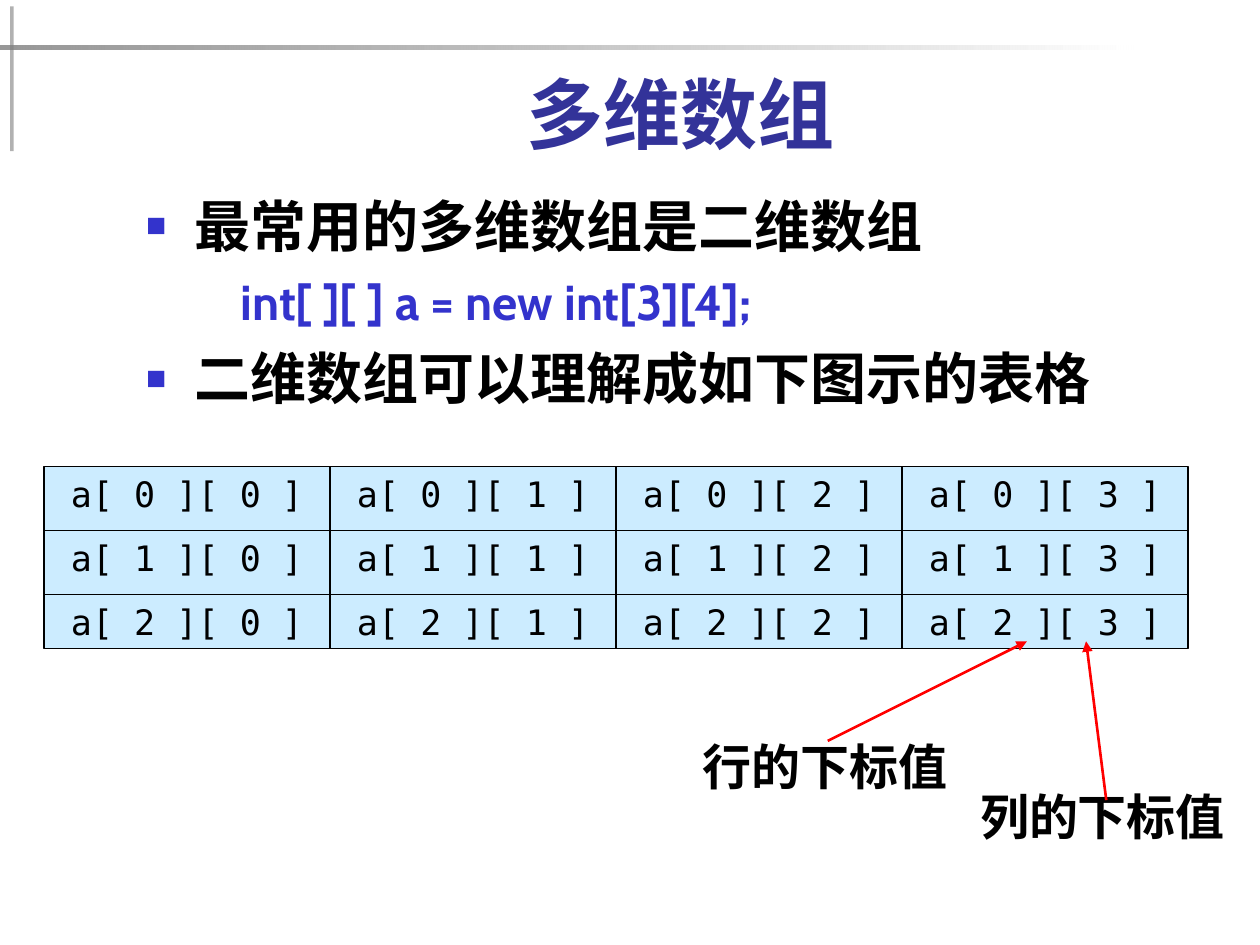
"""Build a slide that shows a two-dimensional array as a grid."""
from dataclasses import dataclass

from lxml import etree
from pptx import Presentation
from pptx.dml.color import RGBColor
from pptx.enum import shapes, text
from pptx.oxml import ns
from pptx.util import Inches, Pt


@dataclass(frozen=True)
class Theme:
    title: RGBColor = RGBColor(0x33, 0x33, 0x99)
    accent: RGBColor = RGBColor(0x33, 0x33, 0xCC)
    ink: RGBColor = RGBColor(0, 0, 0)
    cell: RGBColor = RGBColor(0xCC, 0xEC, 0xFF)
    arrow: RGBColor = RGBColor(0xFF, 0, 0)
    dark: RGBColor = RGBColor(0x1C, 0x1C, 0x1C)
    gray: RGBColor = RGBColor(0x80, 0x80, 0x80)
    white: RGBColor = RGBColor(0xFF, 0xFF, 0xFF)
    head: int = 44
    item: int = 32
    code: int = 28
    mono: int = 20


def write(par, words, font, size, color, bold=True):
    """Add one formatted run to a paragraph."""
    run = par.add_run()
    run.text = words
    run.font.name, run.font.size, run.font.bold = font, Pt(size), bold
    run.font.color.rgb = color


def link(owner, start, end, color, width):
    """Add a straight line without a shadow and return its line properties."""
    line = owner.add_connector(
        shapes.MSO_CONNECTOR.STRAIGHT, *map(Inches, start + end))
    line.line.color.rgb = color
    line.line.width = Pt(width)
    etree.SubElement(line._element.spPr, ns.qn("a:effectLst"))
    return line.line._get_or_add_ln()


theme = Theme()
deck = Presentation()
deck.slide_width, deck.slide_height = Inches(10), Inches(7.5)
slide = deck.slides.add_slide(deck.slide_layouts[1])
items = slide.shapes

bars = []
for box in [(0.08, 0.05, 0.03, 1.15), (0, 0.36, 9, 0.03)]:
    bar = items.add_shape(shapes.MSO_SHAPE.RECTANGLE, *map(Inches, box))
    bar.shadow.inherit = False
    bar.line.fill.background()
    bars.append(bar)
bars[0].fill.solid()
bars[0].fill.fore_color.rgb = theme.dark
bars[1].fill.gradient()
bars[1].fill.gradient_angle = 0
for stop, color in zip(bars[1].fill.gradient_stops, (theme.gray, theme.white)):
    stop.color.rgb = color
for bar, alpha in zip(bars, ("34000", "81000")):
    tint = next(bar._element.spPr.iter(ns.qn("a:srgbClr")))
    etree.SubElement(tint, ns.qn("a:alpha"), val=alpha)

title, body = items.title, slide.placeholders[1]
for holder, box, anchor in [
    (title, (1.14, 0.52, 8.52, 0.79), text.MSO_ANCHOR.BOTTOM),
    (body, (1.06, 1.47, 8.73, 2.6), text.MSO_ANCHOR.TOP),
]:
    holder.left, holder.top, holder.width, holder.height = map(Inches, box)
    holder.text_frame.vertical_anchor = anchor
    holder.text_frame.auto_size = text.MSO_AUTO_SIZE.NONE
    holder.text_frame.word_wrap = True
par = title.text_frame.paragraphs[0]
par.alignment = text.PP_ALIGN.CENTER
write(par, "多维数组", "Cabin", theme.head, theme.title)

points = [
    ("最常用的多维数组是二维数组", 0),
    ("int[ ][ ] a = new int[3][4];", 1),
    ("二维数组可以理解成如下图示的表格", 0),
]
for num, (words, level) in enumerate(points):
    frame = body.text_frame
    par = frame.add_paragraph() if num else frame.paragraphs[0]
    par.level = level
    par.space_before = Pt((8 - level) if num else 0)
    props = par._p.get_or_add_pPr()
    props.set("marL", str(Inches(0.75 if level else 0.38)))
    props.set("indent", str(Inches(0 if level else -0.38)))
    if level:
        etree.SubElement(props, ns.qn("a:buNone"))
        write(par, words, "Cabin", theme.code, theme.accent)
    else:
        paint = etree.SubElement(props, ns.qn("a:buClr"))
        etree.SubElement(paint, ns.qn("a:srgbClr"), val=str(theme.accent))
        etree.SubElement(props, ns.qn("a:buSzPct"), val="60000")
        etree.SubElement(props, ns.qn("a:buFont"), typeface="Arial")
        etree.SubElement(props, ns.qn("a:buChar"), char="■")
        write(par, words, "Cabin", theme.item, theme.ink)

left, top, wide, high = 0.35, 3.7, 2.27, 1.45
for col in range(4):
    group = items.add_group_shape().shapes
    edge = left + col * wide
    cell = group.add_shape(
        shapes.MSO_SHAPE.RECTANGLE, *map(Inches, (edge, top, wide, high)))
    cell.shadow.inherit = False
    cell.fill.solid()
    cell.fill.fore_color.rgb = theme.cell
    cell.line.color.rgb = theme.ink
    cell.line.width = Pt(0.75)
    frame = cell.text_frame
    frame.vertical_anchor = text.MSO_ANCHOR.TOP
    for row in range(3):
        par = frame.add_paragraph() if row else frame.paragraphs[0]
        par.alignment = text.PP_ALIGN.CENTER
        par.space_before = Pt(12.5 if row else 0)
        write(par, f"a[ {row} ][ {col} ]", "DejaVu Sans Mono",
              theme.mono, theme.ink, False)
    for rule in (4.21, 4.72):
        link(group, (edge, rule), (edge + wide, rule), theme.ink, 0.75)

notes = [
    ("行的下标值", (5.48, 5.8), (6.57, 5.88), (8.15, 5.09)),
    ("列的下标值", (7.68, 6.19), (8.78, 6.35), (8.62, 5.09)),
]
for words, spot, start, end in notes:
    label = items.add_textbox(*map(Inches, spot + (2.14, 0.57)))
    label.text_frame.word_wrap = False
    par = label.text_frame.paragraphs[0]
    par.alignment = text.PP_ALIGN.CENTER
    write(par, words, "Arial", theme.code, theme.ink)
    line = link(items, start, end, theme.arrow, 1.5)
    etree.SubElement(line, ns.qn("a:tailEnd"), type="triangle")

deck.save("out.pptx")
